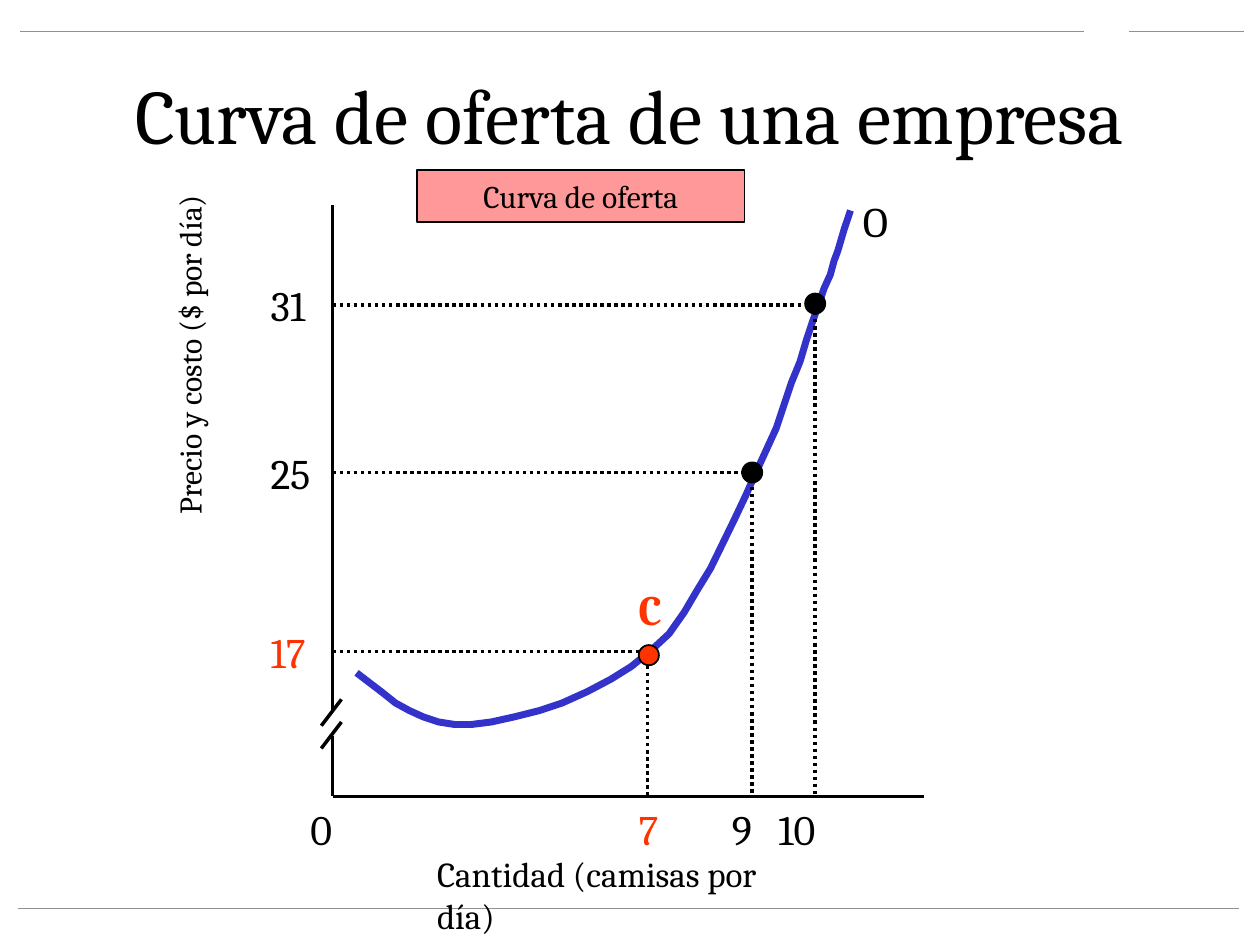
from dataclasses import dataclass

from lxml import etree
from pptx import Presentation
from pptx import util as u
from pptx.dml.color import RGBColor
from pptx.enum import dml, shapes, text
from pptx.oxml.ns import qn

COLS, ROWS = 100, 75


@dataclass(frozen=True)
class Theme:
    font: str = "Cambria"
    ink: str = "000000"
    accent: str = "FF3300"
    curve: str = "3333CC"
    banner: str = "FF9999"
    rule: str = "919191"
    title: int = 44
    label: int = 24
    axis: int = 20
    small: int = 18
    thin: int = 1
    medium: int = 2
    thick: int = 4


class Board:
    def __init__(self, prs, theme):
        self.theme = theme
        self.cw = prs.slide_width / COLS
        self.rh = prs.slide_height / ROWS
        self.slide = prs.slides.add_slide(prs.slide_layouts[5])

    def at(self, *cells):
        return [round(c * (self.rh if i % 2 else self.cw)) for i, c in enumerate(cells)]

    def stroke(self, sp, color, width, dash=None):
        sp.line.color.rgb = RGBColor.from_string(color)
        sp.line.width = u.Pt(width)
        if dash:
            sp.line.dash_style = dash

    def set_text(self, sp, words, size, color=None, bold=False,
                 align=text.PP_ALIGN.LEFT, **frame):
        tf = sp.text_frame
        for name, value in {"word_wrap": False, **frame}.items():
            setattr(tf, name, value)
        p = tf.paragraphs[0]
        p.alignment = align
        r = p.add_run()
        r.text = words
        for name, value in {"name": self.theme.font, "size": u.Pt(size), "bold": bold}.items():
            setattr(r.font, name, value)
        r.font.color.rgb = RGBColor.from_string(color or self.theme.ink)

    def title(self, cells, words):
        sp = self.slide.shapes.title
        sp.left, sp.top, sp.width, sp.height = self.at(*cells)
        self.set_text(sp, words, self.theme.title, align=text.PP_ALIGN.CENTER,
                      word_wrap=True, vertical_anchor=text.MSO_ANCHOR.MIDDLE)

    def label(self, cells, words, size=None, rotation=0, **style):
        sp = self.slide.shapes.add_textbox(*self.at(*cells))
        sp.rotation = rotation
        self.set_text(sp, words, size or self.theme.label, **style)

    def line(self, cells, color=None, width=None, dash=None):
        sp = self.slide.shapes.add_connector(shapes.MSO_CONNECTOR.STRAIGHT, *self.at(*cells))
        self.stroke(sp, color or self.theme.ink, width or self.theme.medium, dash)
        etree.SubElement(sp._element.spPr, qn("a:effectLst"))

    def dotted(self, cells):
        self.line(cells, dash=dml.MSO_LINE.ROUND_DOT)

    def shape(self, kind, cells, fill):
        sp = self.slide.shapes.add_shape(kind, *self.at(*cells))
        sp.shadow.inherit = False
        sp.fill.solid()
        sp.fill.fore_color.rgb = RGBColor.from_string(fill)
        self.stroke(sp, self.theme.ink, self.theme.thin)
        return sp

    def dot(self, x, y, fill):
        size = 1.6
        self.shape(shapes.MSO_SHAPE.OVAL, (x - size / 2, y - size / 2, size, size), fill)

    def banner(self, cells, words):
        sp = self.shape(shapes.MSO_SHAPE.RECTANGLE, cells, self.theme.banner)
        self.set_text(sp, words, self.theme.small, align=text.PP_ALIGN.CENTER,
                      word_wrap=True, vertical_anchor=text.MSO_ANCHOR.MIDDLE)

    def curve(self, points):
        start, *rest = [self.at(*point) for point in points]
        outline = self.slide.shapes.build_freeform(*start)
        outline.add_line_segments(rest, close=False)
        sp = outline.convert_to_shape()
        sp.shadow.inherit = False
        sp.fill.background()
        self.stroke(sp, self.theme.curve, self.theme.thick)


SUPPLY = [
    (28.3, 53.4), (30.4, 55), (31.4, 55.8), (32.5, 56.4), (33.6, 56.9), (34.8, 57.3),
    (36.1, 57.5), (37.4, 57.5), (39, 57.3), (40.8, 56.9), (42.8, 56.4), (44.6, 55.8),
    (46.6, 54.9), (48.5, 53.9), (50.1, 52.9), (51.7, 51.6), (53.1, 50.3), (54.3, 48.6),
    (55.3, 46.9), (56.4, 45.1), (58.3, 41.2), (59.2, 39.3), (60, 37.5), (61.6, 34),
    (62.8, 30.4), (63.5, 28.7), (64, 27), (64.5, 25.5), (65, 24.1), (65.4, 22.9),
    (65.9, 21.8), (66.2, 20.7), (66.5, 19.9), (67, 18.2), (67.5, 16.7),
]

theme = Theme()
prs = Presentation()
prs.slide_width, prs.slide_height = u.Inches(10), u.Inches(7.5)
board = Board(prs, theme)

for rule in [(1.6, 2.5, 86, 2.5), (89.6, 2.5, 98.7, 2.5), (1.4, 72.1, 98.3, 72.1)]:
    board.line(rule, theme.rule, theme.thin)

board.title((7.5, 3.6, 85, 10.9), "Curva de oferta de una empresa")

axis_x, axis_y = 26.4, 63.2
board.line((axis_x, 16.3, axis_x, 56.5))
board.line((axis_x, 58.4, axis_x, axis_y))
board.line((axis_x, axis_y, 73.3, axis_y))
for top in (55.5, 57.3):
    board.line((25.5, top + 2.1, 27.1, top))

board.curve(SUPPLY)

levels = [
    ("31", "10", 64.7, 24.2, 21.7, 60.8, theme.ink),
    ("25", "9", 59.7, 37.5, 35, 57.1, theme.ink),
    ("17", "7", 51.4, 51.7, 49.2, 49.7, theme.accent),
]
for price, quantity, x, y, price_top, quantity_left, color in levels:
    board.dotted((axis_x, y, x, y))
    board.dotted((x, y, x, axis_y))
    board.label((20.5, price_top, 5.3, 5), price, color=color)
    board.label((quantity_left, 63.3, 5.3, 5), quantity, color=color)

for x, y, color in [(64.7, 24.1, theme.ink), (59.7, 37.5, theme.ink), (51.5, 52, theme.accent)]:
    board.dot(x, y, color)

board.label((49.7, 45.8, 4.4, 5), "C", color=theme.accent, bold=True)
board.label((67.5, 15, 4.4, 5), "O")
board.label((23, 63.3, 5, 5), "0", align=text.PP_ALIGN.CENTER,
            vertical_anchor=text.MSO_ANCHOR.MIDDLE)
board.label((33.7, 67.2, 31.8, 4.3), "Cantidad (camisas por día)", theme.axis, word_wrap=True)
board.label((-4.6, 32.1, 39.2, 4), "Precio y costo ($ por día)", theme.small, rotation=270,
            align=text.PP_ALIGN.RIGHT, word_wrap=True)
board.banner((33.1, 13.5, 26, 4.1), "Curva de oferta")

prs.save("out.pptx")
